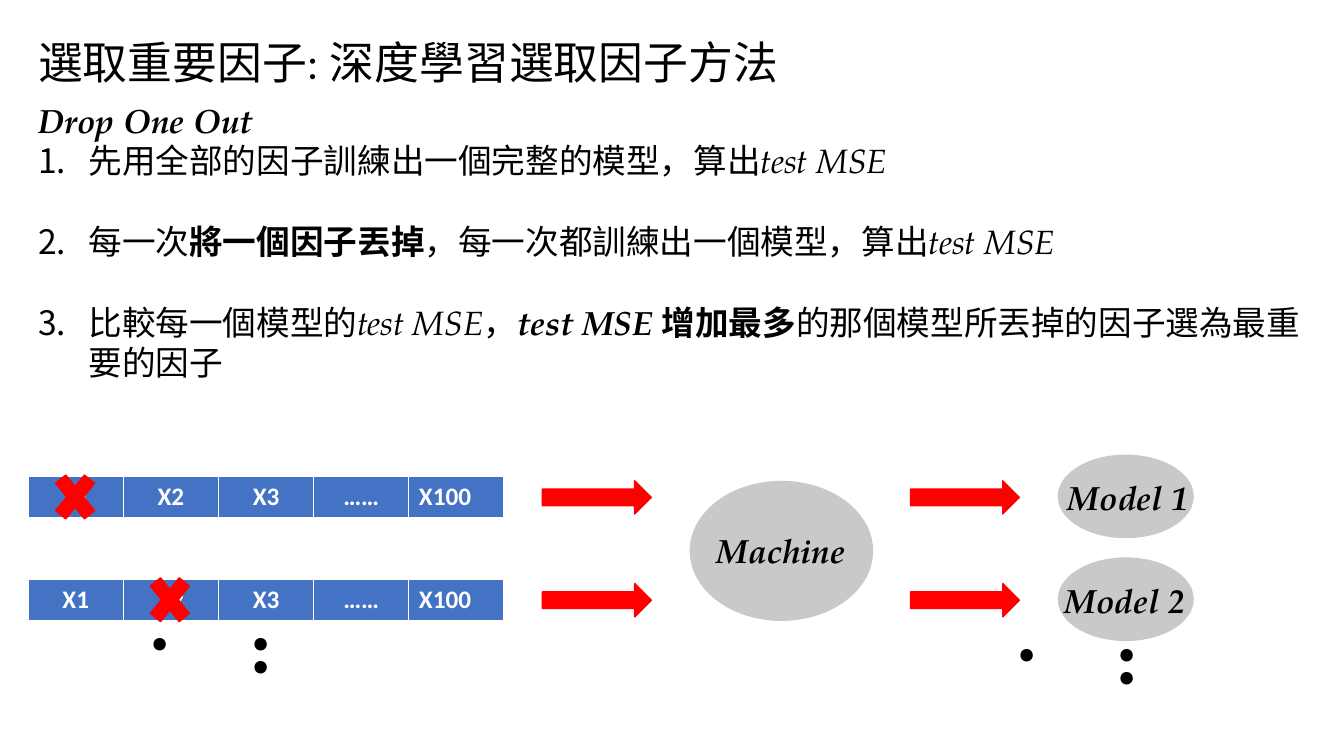
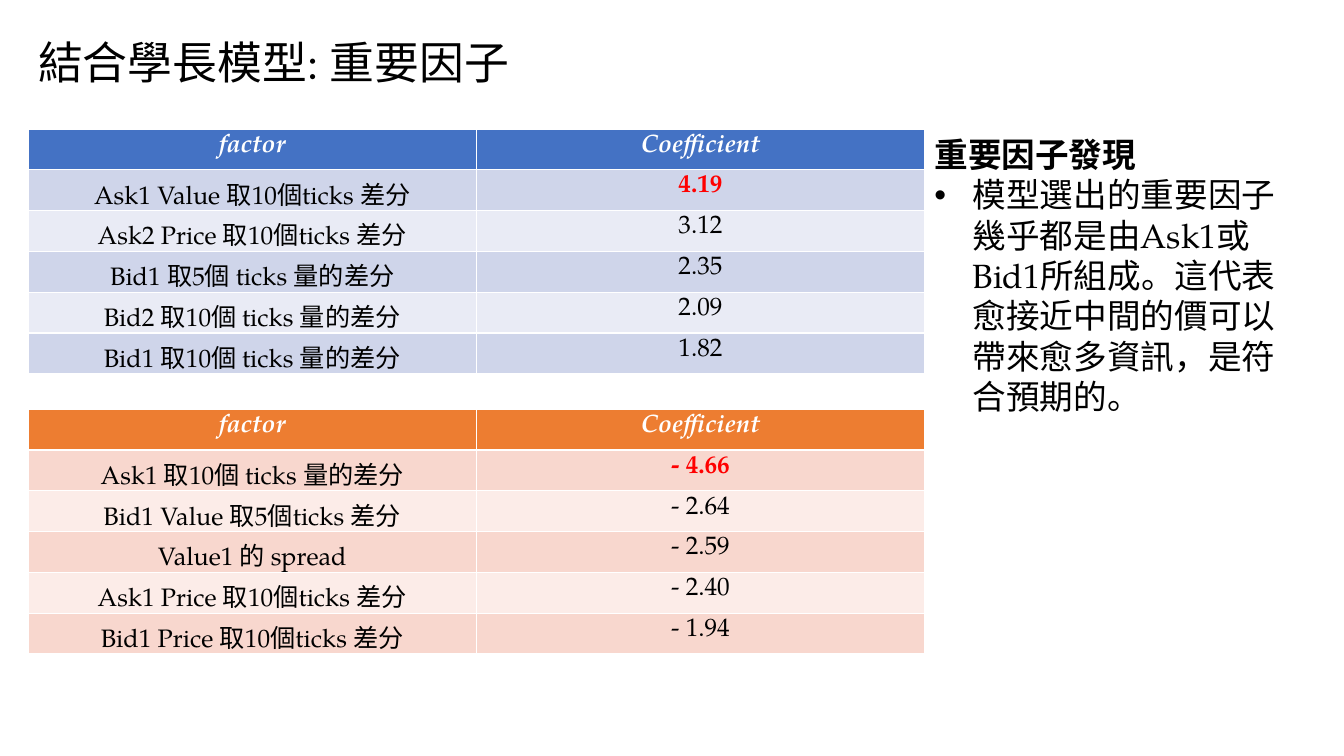
from lxml.etree import SubElement
from pptx import Presentation
from pptx.dml.color import RGBColor
from pptx.enum.shapes import MSO_SHAPE as SHAPE
from pptx.enum.text import PP_ALIGN
from pptx.oxml.ns import qn
from pptx.util import Inches, Pt

BLACK = RGBColor(0x00, 0x00, 0x00)
WHITE = RGBColor(0xFF, 0xFF, 0xFF)
RED = RGBColor(0xFF, 0x00, 0x00)
GRAY = RGBColor(0xC9, 0xC9, 0xC9)
BLUE = RGBColor(0x44, 0x72, 0xC4)
BLUE_BANDS = RGBColor(0xCF, 0xD5, 0xEA), RGBColor(0xE9, 0xEB, 0xF5)
ORANGE = RGBColor(0xED, 0x7D, 0x31)
ORANGE_BANDS = RGBColor(0xF8, 0xD7, 0xCE), RGBColor(0xFC, 0xEC, 0xE8)
SERIF = "TeX Gyre Pagella"
SANS = "Calibri"
LEFT = 0.28


def add_runs(p, runs, size, font=SERIF, color=BLACK):
    """Append (text, style) pairs; a style holds "b" for bold, "i" for italic."""
    for text, style in runs:
        r = p.add_run()
        r.text = text
        r.font.name, r.font.size = font, Pt(size)
        r.font.bold, r.font.italic = "b" in style, "i" in style
        r.font.color.rgb = color


def add_text(s, box, paragraphs, size=24, font=SERIF, bullet=None, indent=0, gap=0):
    """Add a text box whose paragraphs after the first carry the bullet."""
    tf = s.shapes.add_textbox(*map(Inches, box)).text_frame
    tf.word_wrap = True
    for i, runs in enumerate(paragraphs):
        p = tf.paragraphs[0] if i == 0 else tf.add_paragraph()
        add_runs(p, runs, size, font)
        if i == 0:
            continue
        p.space_after = Pt(gap)
        pPr = p._p.get_or_add_pPr()
        pPr.set("marL", str(Inches(indent)))
        pPr.set("indent", str(-Inches(indent)))
        if bullet == "1.":
            SubElement(pPr, qn("a:buFont"), typeface="+mj-lt")
            SubElement(pPr, qn("a:buAutoNum"), type="arabicPeriod")
        else:
            SubElement(pPr, qn("a:buFont"), typeface="Arial")
            SubElement(pPr, qn("a:buChar"), char=bullet)
    return tf


prs = Presentation()
prs.slide_width, prs.slide_height = Inches(13.33), Inches(7.5)
slides = []
for title in ("選取重要因子: 深度學習選取因子方法", "結合學長模型: 重要因子"):
    s = prs.slides.add_slide(prs.slide_layouts[6])
    add_text(s, (LEFT, 0.3, 7.9, 0.64), [[(title, "")]], size=32)
    slides.append(s)
method, result = slides

# Slide 1: drop-one-out method
add_text(method, (LEFT, 0.94, 12.8, 3.74), [
    [("Drop One Out", "bi")],
    [("先用全部的因子訓練出一個完整的模型，算出", ""), ("test MSE", "i")],
    [("每一次", ""), ("將一個因子丟掉", "b"),
     ("，每一次都訓練出一個模型，算出", ""), ("test MSE", "i")],
    [("比較每一個模型的", ""), ("test MSE", "i"), ("，", ""),
     ("test MSE ", "bi"), ("增加最多", "b"),
     ("的那個模型所丟掉的因子選為最重要的因子", "")],
], bullet="1.", indent=0.5, gap=29)

factors = ["X1", "X2", "X3", "……", "X100"]
shapes = [(SHAPE.OVAL, (6.84, 4.77, 1.82, 1.39), GRAY)]
labels = [("Machine", 7.01, 5.21)]
for row, label_left in enumerate((10.49, 10.46)):
    top = 4.73 + 1.02 * row
    table = method.shapes.add_table(
        1, len(factors), *map(Inches, (LEFT, top, 4.72, 0.41))).table
    for cell, factor in zip(table.rows[0].cells, factors):
        cell.fill.solid()
        cell.fill.fore_color.rgb = BLUE
        p = cell.text_frame.paragraphs[0]
        p.alignment = PP_ALIGN.LEFT if factor == "X100" else PP_ALIGN.CENTER
        add_runs(p, [(factor, "b")], 18, SANS, WHITE)
    shapes += [
        (SHAPE.MATH_MULTIPLY, (0.47 + 0.94 * row, top - 0.14, 0.55, 0.68), RED),
        (SHAPE.RIGHT_ARROW, (5.38, top + 0.04, 1.08, 0.33), RED),
        (SHAPE.RIGHT_ARROW, (9.03, top + 0.04, 1.08, 0.33), RED),
        (SHAPE.OVAL, (10.49, top - 0.22, 1.35, 0.83), GRAY),
    ]
    labels.append((f"Model {row + 1}", label_left, top - 0.05))

for kind, box, color in shapes:
    sp = method.shapes.add_shape(kind, *map(Inches, box))
    sp.shadow.inherit = False
    sp.fill.solid()
    sp.fill.fore_color.rgb = color
    if color == RED:
        sp.line.color.rgb = RED
        sp.line.width = Pt(1)
    else:
        sp.line.fill.background()

for text, left, top in labels:
    add_text(method, (left, top, 1.55, 0.5), [[(text, "bi")]])

for left, top in ((2.21, 6.19), (10.8, 6.3)):
    tf = add_text(method, (left, top, 1.21, 0.84), [[("...", "b")]], 60, SANS)
    tf._txBody.bodyPr.set("vert", "eaVert")

# Slide 2: important factors
coefficient_tables = [
    (1.28, BLUE, BLUE_BANDS, [
        ("Ask1 Value 取10個ticks 差分", "4.19"),
        ("Ask2 Price 取10個ticks 差分", "3.12"),
        ("Bid1 取5個 ticks 量的差分", "2.35"),
        ("Bid2 取10個 ticks 量的差分", "2.09"),
        ("Bid1 取10個 ticks 量的差分", "1.82"),
    ]),
    (4.06, ORANGE, ORANGE_BANDS, [
        ("Ask1 取10個 ticks 量的差分", "- 4.66"),
        ("Bid1 Value 取5個ticks 差分", "- 2.64"),
        ("Value1 的 spread", "- 2.59"),
        ("Ask1 Price 取10個ticks 差分", "- 2.40"),
        ("Bid1 Price 取10個ticks 差分", "- 1.94"),
    ]),
]
for top, header_color, bands, rows in coefficient_tables:
    rows = [("factor", "Coefficient")] + rows
    table = result.shapes.add_table(
        len(rows), 2, *map(Inches, (LEFT, top, 8.89, 2.43))).table
    for i, row in enumerate(rows):
        for j, text in enumerate(row):
            cell = table.cell(i, j)
            cell.fill.solid()
            cell.fill.fore_color.rgb = bands[(i - 1) % 2] if i else header_color
            if i == 0:
                style, color = "bi", WHITE
            elif (i, j) == (1, 1):
                style, color = "b", RED
            else:
                style, color = "", BLACK
            p = cell.text_frame.paragraphs[0]
            p.alignment = PP_ALIGN.CENTER
            add_runs(p, [(text, style)], 18, color=color)

add_text(result, (9.17, 1.28, 3.77, 2.93), [
    [("重要因子發現", "b")],
    [("模型選出的重要因子幾乎都是由Ask1或Bid1所組成。"
      "這代表愈接近中間的價可以帶來愈多資訊，是符合預期的。", "")],
], bullet="•", indent=0.38)

prs.save("out.pptx")
